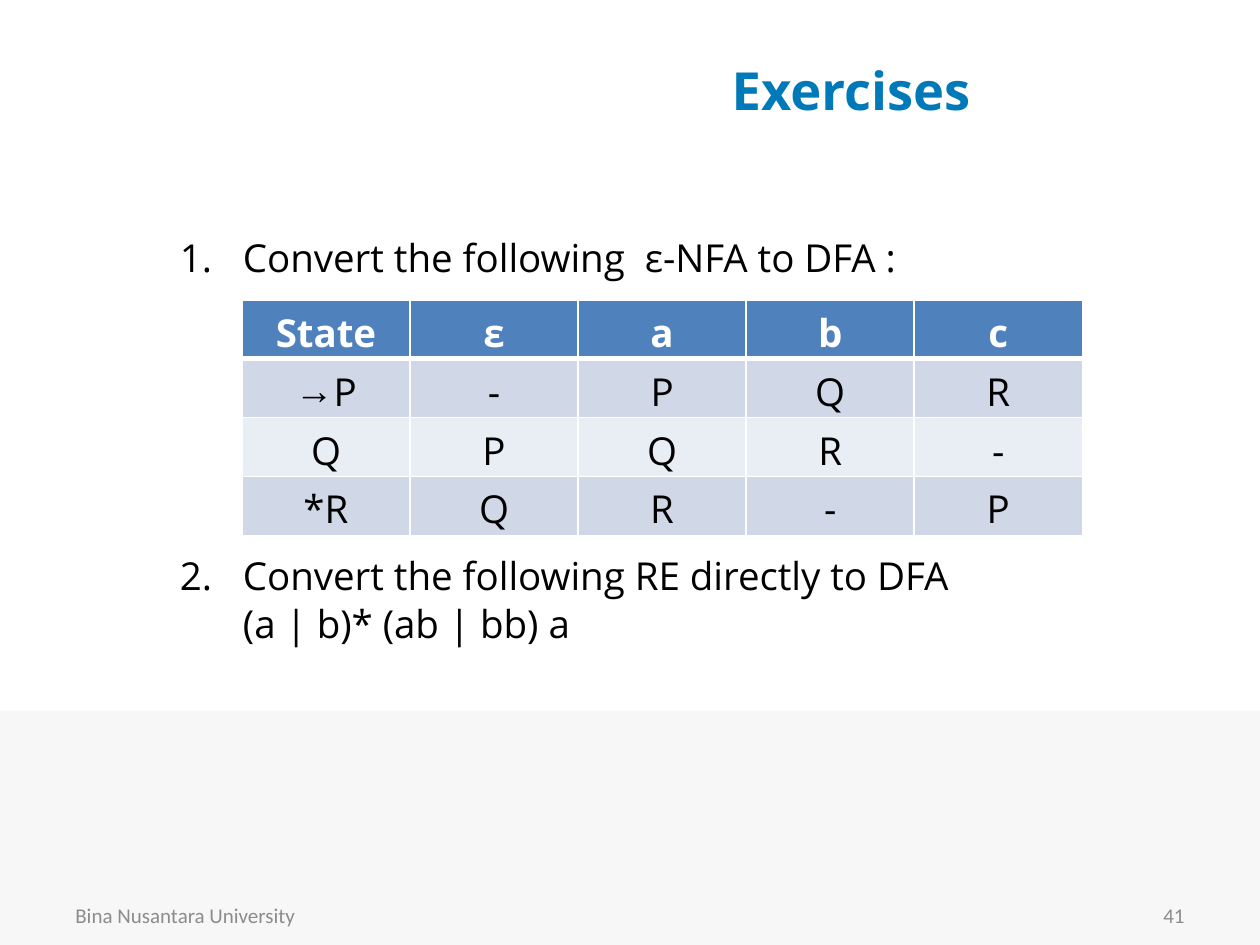
from lxml import etree
from pptx import Presentation
from pptx.dml.color import RGBColor
from pptx.enum.shapes import MSO_SHAPE
from pptx.enum.text import MSO_ANCHOR, PP_ALIGN
from pptx.oxml.ns import qn
from pptx.util import Inches, Pt

RECT = MSO_SHAPE.RECTANGLE
MIDDLE = MSO_ANCHOR.MIDDLE
LEFT, CENTER, RIGHT = PP_ALIGN.LEFT, PP_ALIGN.CENTER, PP_ALIGN.RIGHT

WHITE = RGBColor(0xFF, 0xFF, 0xFF)
BLACK = RGBColor(0, 0, 0)
BLUE = RGBColor(0x00, 0x79, 0xB8)
GREY = RGBColor(0x8C, 0x8C, 0x8C)
BAND = RGBColor(0xF7, 0xF7, 0xF7)
HEADER = RGBColor(0x4F, 0x81, 0xBD)
ROW_FILLS = [RGBColor(0xD0, 0xD8, 0xE8), RGBColor(0xE9, 0xED, 0xF4)]

WIDTH, HEIGHT = Inches(10), Inches(7.5)
BODY_FONT, FOOTER_FONT = "Open Sans", "Calibri"
BODY_SIZE = 22

TRANSITIONS = [
    ["State", "ε", "a", "b", "c"],
    ["P", "-", "P", "Q", "R"],
    ["Q", "P", "Q", "R", "-"],
    ["*R", "Q", "R", "-", "P"],
]
# Text, numbered or not, space before in points (the second leaves room for the table)
EXERCISES = [
    ("Convert the following  ε-NFA to DFA :", True, 0),
    ("Convert the following RE directly to DFA", True, 155),
    ("(a | b)* (ab | bb) a", False, 1),
]


def box_of(left, top, width, height):
    return Inches(left), Inches(top), Inches(width), Inches(height)


def add_run(paragraph, text, size, color, font=BODY_FONT, bold=False):
    run = paragraph.add_run()
    run.text = text
    run.font.size, run.font.name, run.font.bold = Pt(size), font, bold
    run.font.color.rgb = color


def add_band(slide, box):
    band = slide.shapes.add_shape(RECT, *box)
    band.shadow.inherit = False
    band.fill.solid()
    band.fill.fore_color.rgb = BAND
    band.line.fill.background()


def place_title(slide, box, text):
    title = slide.shapes.title
    title.left, title.top, title.width, title.height = box
    title.text_frame.vertical_anchor = MIDDLE
    paragraph = title.text_frame.paragraphs[0]
    paragraph.alignment = CENTER
    add_run(paragraph, text, 30, BLUE, bold=True)


def add_exercises(slide, box):
    frame = slide.shapes.add_textbox(*box).text_frame
    frame.word_wrap = True
    frame.margin_top = Inches(0.03)
    hanging = Inches(0.5)
    for index, (text, numbered, gap) in enumerate(EXERCISES):
        paragraph = frame.add_paragraph() if index else frame.paragraphs[0]
        properties = paragraph._p.get_or_add_pPr()
        properties.set("marL", str(hanging))
        properties.set("indent", str(-hanging if numbered else 0))
        if numbered:
            number = etree.SubElement(properties, qn("a:buAutoNum"))
            number.set("type", "arabicPeriod")
        paragraph.space_before = Pt(gap)
        add_run(paragraph, text, BODY_SIZE, BLACK)


def add_borders(cell, bottom):
    properties = cell._tc.get_or_add_tcPr()
    for side, width in (("L", 1), ("R", 1), ("T", 1), ("B", bottom)):
        line = etree.SubElement(properties, qn(f"a:ln{side}"), w=str(Pt(width)))
        fill = etree.SubElement(line, qn("a:solidFill"))
        etree.SubElement(fill, qn("a:srgbClr"), val=str(WHITE))


def add_transition_table(slide, box):
    rows, columns = len(TRANSITIONS), len(TRANSITIONS[0])
    table = slide.shapes.add_table(rows, columns, *box).table
    for r, states in enumerate(TRANSITIONS):
        is_header = r == 0
        for c, state in enumerate(states):
            cell = table.cell(r, c)
            # The rule under the header is heavier, on both sides of the edge
            add_borders(cell, 3 if is_header else 1)
            if r == 1:
                cell._tc.tcPr.find(qn("a:lnT")).set("w", str(Pt(3)))
            cell.fill.solid()
            cell.fill.fore_color.rgb = HEADER if is_header else ROW_FILLS[(r - 1) % 2]
            paragraph = cell.text_frame.paragraphs[0]
            paragraph.alignment = CENTER
            if (r, c) == (1, 0):
                # Start state is marked by an arrow bullet
                properties = paragraph._p.get_or_add_pPr()
                etree.SubElement(properties, qn("a:buFont"), typeface="Arial")
                etree.SubElement(properties, qn("a:buChar"), char="→")
            add_run(paragraph, state, BODY_SIZE, WHITE if is_header else BLACK,
                    bold=is_header)


def add_footer(slide, box, text, alignment):
    frame = slide.shapes.add_textbox(*box).text_frame
    frame.word_wrap = True
    frame.vertical_anchor = MIDDLE
    paragraph = frame.paragraphs[0]
    paragraph.alignment = alignment
    add_run(paragraph, text, 12, GREY, FOOTER_FONT)


def main():
    deck = Presentation()
    deck.slide_width, deck.slide_height = WIDTH, HEIGHT
    slide = deck.slides.add_slide(deck.slide_layouts[5])
    add_band(slide, box_of(0, 5.64, 10, 1.86))
    place_title(slide, box_of(3.67, 0.17, 6.17, 1.08), "Exercises")
    add_exercises(slide, box_of(1.33, 1.83, 8.17, 4.87))
    add_footer(slide, box_of(0.5, 7.06, 2.33, 0.4), "Bina Nusantara University", LEFT)
    add_footer(slide, box_of(7.17, 7.06, 2.33, 0.4), "41", RIGHT)
    add_transition_table(slide, box_of(1.92, 2.38, 6.67, 1.87))
    deck.save("out.pptx")


if __name__ == "__main__":
    main()
